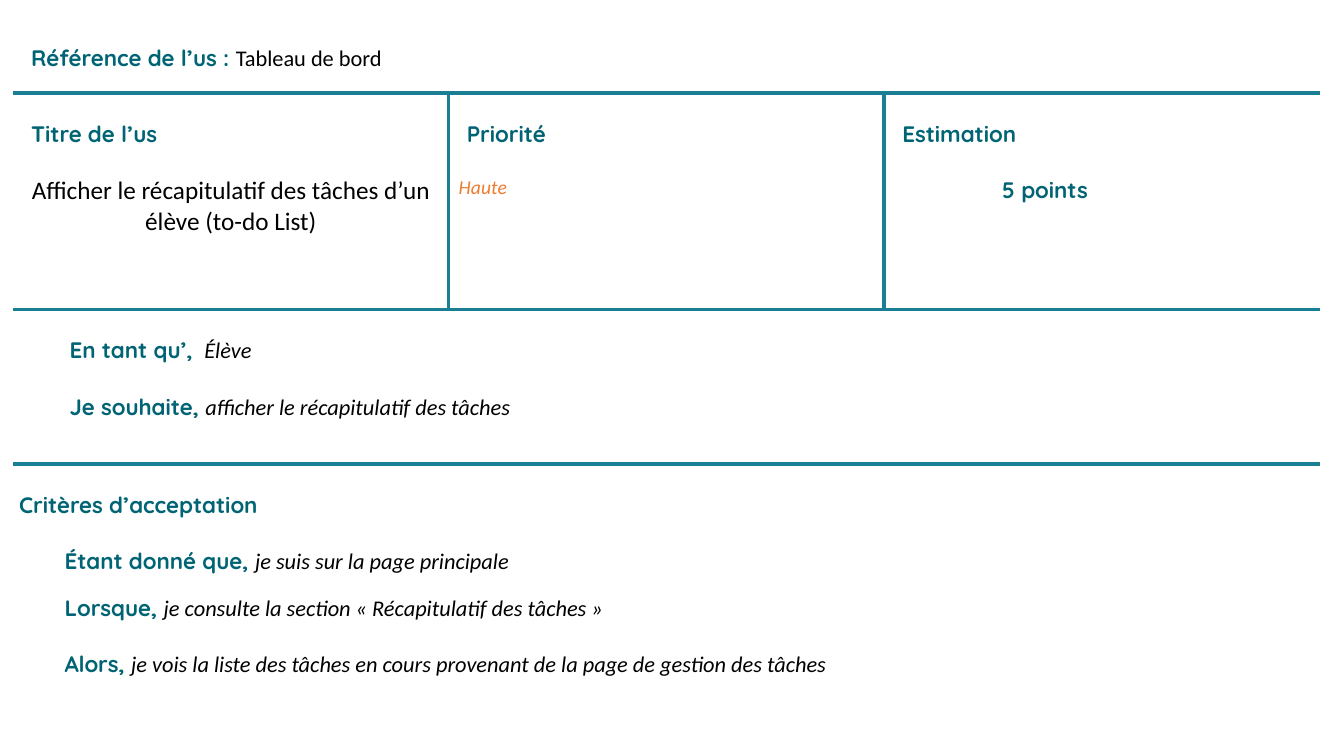
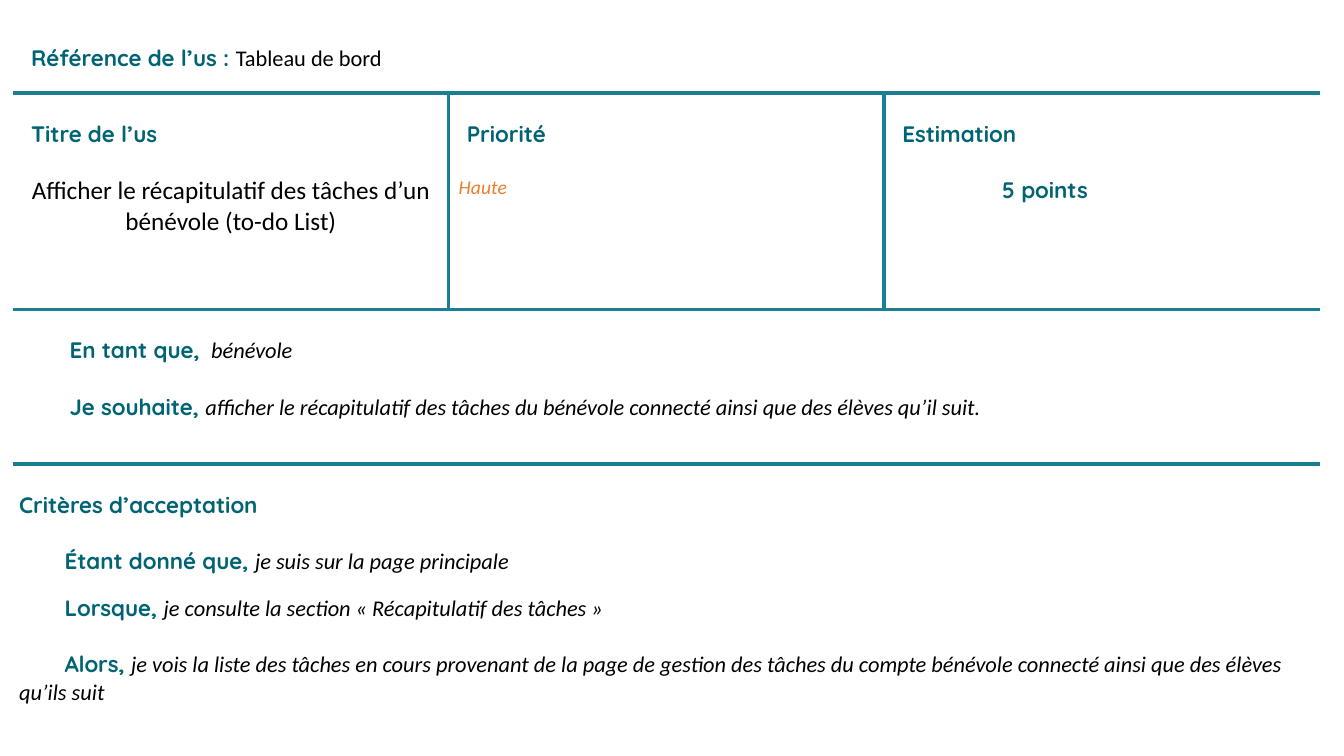
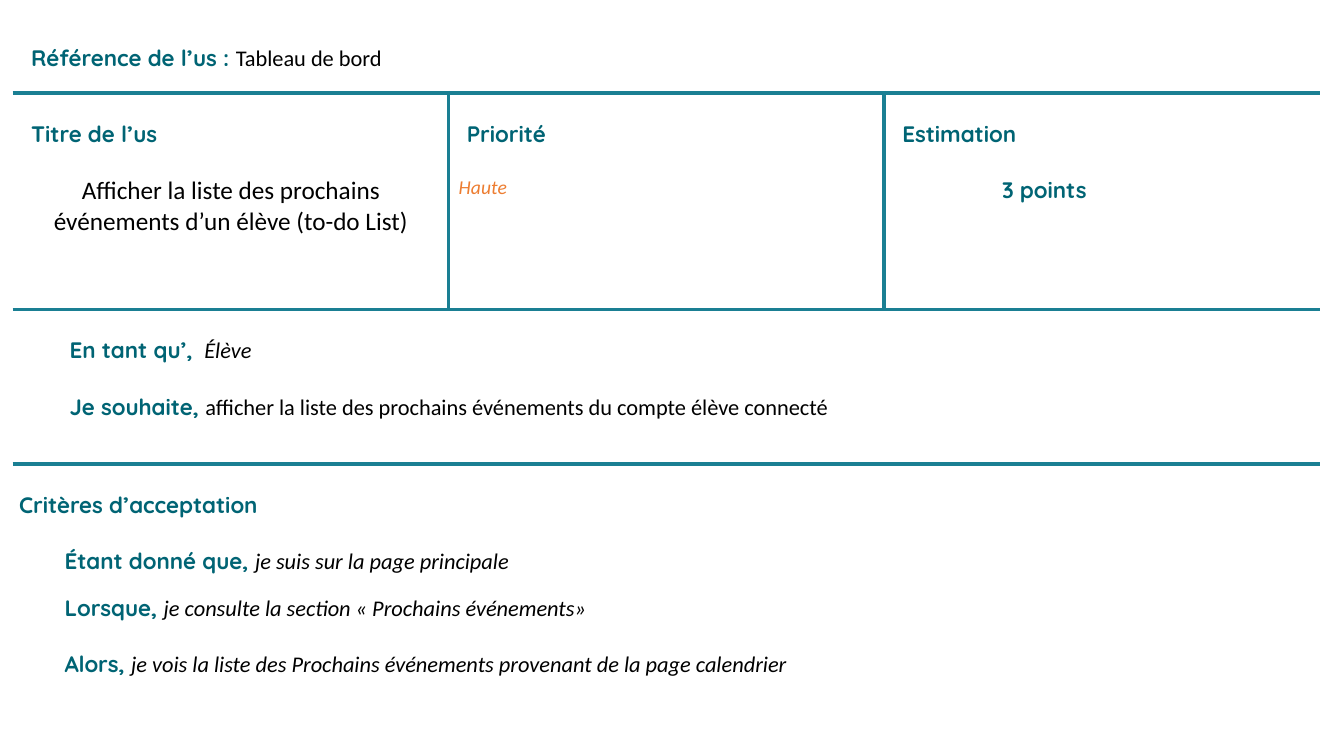
from dataclasses import dataclass

from lxml import etree
from pptx import Presentation
from pptx.dml.color import RGBColor
from pptx.enum.text import PP_ALIGN
from pptx.oxml.ns import qn
from pptx.util import Inches, Pt

LEFT, CENTER = PP_ALIGN.LEFT, PP_ALIGN.CENTER


@dataclass(frozen=True)
class Theme:
    teal: str = "006474"
    rule: str = "1A7F93"
    orange: str = "ED7D31"
    black: str = "000000"
    white: str = "FFFFFF"
    head: str = "Quicksand"
    body: str = "Calibri"
    small: int = 14
    base: int = 16
    large: int = 18
    width: int = 3


THEME = Theme()


@dataclass(frozen=True)
class Run:
    text: str
    font: str = THEME.body
    size: int = THEME.base
    color: str = THEME.black
    bold: bool = False
    italic: bool = False


@dataclass(frozen=True)
class Line:
    runs: tuple[Run, ...]
    indent: float = 0
    before: float = 20
    align: PP_ALIGN = LEFT


@dataclass(frozen=True)
class Story:
    title: str
    points: str
    role: Line
    wish: Line
    when: str
    then: str


def label(text: str) -> Run:
    return Run(text, font=THEME.head, color=THEME.teal, bold=True)


def pair(lead: str, text: str, indent: float, before: float = 20,
         italic: bool = True) -> Line:
    return Line((label(lead), Run(text, italic=italic)), indent, before)


def write(para, text: str, *, font: str, size: int, color: str,
          bold: bool, italic: bool) -> None:
    run = para.add_run()
    run.text = text
    run.font.name = font
    run.font.size = Pt(size)
    run.font.color.rgb = RGBColor.from_string(color)
    run.font.bold = bold
    run.font.italic = italic


def fill_cell(cell, lines: list[Line]) -> None:
    cell.margin_left = cell.margin_right = Inches(0.06)
    cell.margin_top = Inches(0.27)
    cell.margin_bottom = 0
    for index, line in enumerate(lines):
        frame = cell.text_frame
        para = frame.add_paragraph() if index else frame.paragraphs[0]
        para.alignment = line.align
        para.space_before = Pt(line.before if index else 0)
        if line.indent:
            props = para._p.get_or_add_pPr()
            props.set("marL", "0")
            props.set("indent", str(Inches(line.indent)))
        for run in line.runs:
            write(para, run.text, font=run.font, size=run.size,
                  color=run.color, bold=run.bold, italic=run.italic)


def edge_cell(cell, sides: str) -> None:
    cell.fill.solid()
    cell.fill.fore_color.rgb = RGBColor.from_string(THEME.white)
    props = cell._tc.get_or_add_tcPr()
    for index, side in enumerate(sides):
        edge = etree.Element(qn(f"a:ln{side}"), w=str(Pt(THEME.width)))
        solid = etree.SubElement(edge, qn("a:solidFill"))
        etree.SubElement(solid, qn("a:srgbClr"), val=THEME.rule)
        props.insert(index, edge)


def cell_sides(row: int, col: int) -> str:
    shown = {"L": row == 1 and col > 0, "R": row == 1 and col < 2,
             "T": row > 0, "B": row < 3}
    return "".join(side for side, drawn in shown.items() if drawn)


def card_rows(story: Story) -> list[list[list[Line]]]:
    inset = 0.12
    goal = Run(story.title, size=THEME.large)
    rank = Run("Haute", size=THEME.small, color=THEME.orange, italic=True)
    return [
        [[pair("Référence de l’us\u00a0: ", "Tableau de bord", inset,
               italic=False)]],
        [
            [Line((label("Titre de l’us"),), inset),
             Line((goal,), align=CENTER)],
            [Line((label("Priorité"),), inset), Line((rank,), 0.04)],
            [Line((label("Estimation"),), inset),
             Line((label(story.points),), 1.11)],
        ],
        [[story.role, story.wish]],
        [[
            Line((label("Critères d’acceptation"),)),
            pair("Étant donné que, ", "je suis sur la page principale", 0.45),
            pair("Lorsque, ", story.when, 0.45, before=13.5),
            pair("Alors, ", story.then, 0.45),
        ]],
    ]


def add_card(deck, story: Story) -> None:
    slide = deck.slides.add_slide(deck.slide_layouts[6])
    tall = [0.75, 2.15, 1.53, 2.42]
    table = slide.shapes.add_table(
        4, 3, Inches(0.13), Inches(0.17), Inches(12.96), Inches(sum(tall))
    ).table
    table.first_row = table.horz_banding = False
    for col in table.columns:
        col.width = Inches(4.32)
    for row, cells in enumerate(card_rows(story)):
        table.rows[row].height = Inches(tall[row])
        for col in range(3):
            edge_cell(table.cell(row, col), cell_sides(row, col))
        if len(cells) == 1:
            table.cell(row, 0).merge(table.cell(row, 2))
        for col, lines in enumerate(cells):
            fill_cell(table.cell(row, col), lines)


def role(lead: str, name: str) -> Line:
    return pair(f"{lead}, ", f"\u00a0{name}", 0.5)


def wish(text: str, italic: bool = True) -> Line:
    return pair("Je souhaite, ", text, 0.5, italic=italic)


RECAP = "je consulte la section «\u00a0Récapitulatif des tâches\u00a0»"
TASKS = ("je vois la liste des tâches en cours provenant de la page "
         "de gestion des tâches")

STORIES = [
    Story("Afficher le récapitulatif des tâches d’un élève (to-do List)",
          "5 points", role("En tant qu’", "Élève"),
          wish("afficher le récapitulatif des tâches"), RECAP, TASKS),
    Story("Afficher le récapitulatif des tâches d’un bénévole (to-do List)",
          "5 points", role("En tant que", "bénévole"),
          wish("afficher le récapitulatif des tâches du bénévole connecté "
               "ainsi que des élèves qu’il suit."),
          RECAP,
          f"{TASKS} du compte bénévole connecté ainsi que des élèves "
          "qu’ils suit"),
    Story("Afficher la liste des prochains événements d’un élève (to-do List)",
          "3 points", role("En tant qu’", "Élève"),
          wish("afficher la liste des prochains événements du compte élève "
               "connecté", italic=False),
          "je consulte la section «\u00a0Prochains événements»",
          "je vois la liste des Prochains événements provenant de la page "
          "calendrier"),
]


def main() -> None:
    deck = Presentation()
    deck.slide_width = Inches(13.33)
    deck.slide_height = Inches(7.5)
    for story in STORIES:
        add_card(deck, story)
    deck.save("out.pptx")


main()
